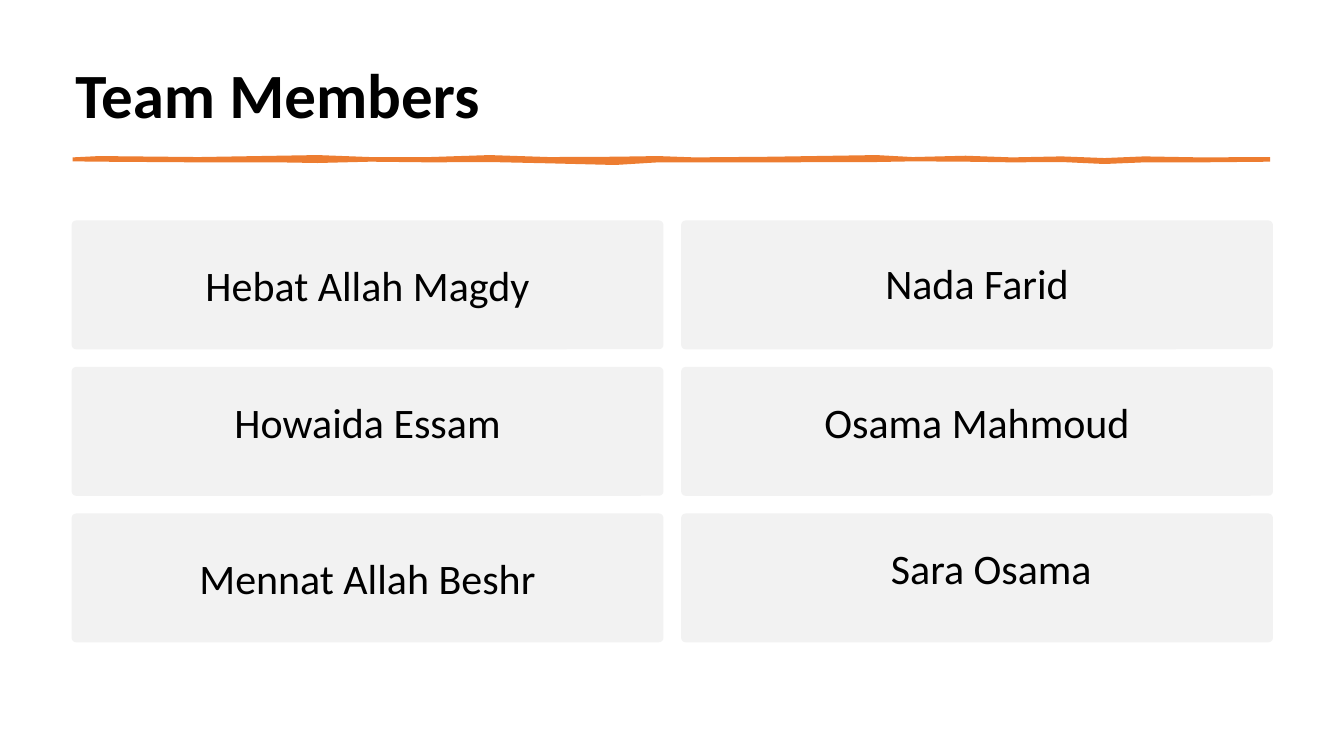
from pptx import Presentation
from pptx.dml.color import RGBColor as RGB
from pptx.enum.shapes import MSO_SHAPE as Kind
from pptx.enum.text import MSO_ANCHOR as Anchor, PP_ALIGN as Align
from pptx.util import Cm, Pt

TITLE = "Team Members"

# name, shift right and drop from the card's top, in cm
TEAM = [
    [("Hebat Allah Magdy", 0, 1.65), ("Nada Farid", 0, 1.6)],
    [("Howaida Essam", 0, 1.37), ("Osama Mahmoud", 0, 1.37)],
    [("Mennat Allah Beshr", 0, 1.65), ("Sara Osama", 0.43, 1.35)],
]

# brush stroke: x, then height above and depth below its middle, in cm
STROKE = [
    (2.2, 0.06, 0.06), (3, 0.1, 0.07), (6, 0.07, 0.09), (8.4, 0.11, 0.09),
    (9.6, 0.13, 0.11), (11.2, 0.07, 0.07), (13, 0.07, 0.09),
    (14.8, 0.13, 0.08), (16.6, 0.07, 0.12), (18.6, 0.08, 0.17),
    (19.9, 0.1, 0.09), (21, 0.06, 0.09), (23.3, 0.08, 0.09),
    (26.5, 0.13, 0.08), (27.6, 0.07, 0.06), (29.2, 0.11, 0.07),
    (30.6, 0.06, 0.09), (32.1, 0.09, 0.08), (33.4, 0.04, 0.14),
    (34.6, 0.09, 0.09), (36.3, 0.06, 0.09), (38.41, 0.07, 0.07),
]
MID = 4.82

THEME = {
    "font": "Calibri",
    "ink": RGB(0, 0, 0),
    "brush": RGB(0xED, 0x7D, 0x31),
    "card": RGB(0xF2, 0xF2, 0xF2),
    "title": Pt(54),
    "name": Pt(36),
    "lead": Pt(28.5),
    "edge": Pt(2.4),
}

LEFT, TOP = 2.21, 6.71
WIDE, HIGH, GAP = 17.81, 3.81, 0.62
NAME_W, NAME_H = 16.38, 1.68


def add_text(slide, text, box, size, bold=False):
    frame = slide.shapes.add_textbox(*map(Cm, box)).text_frame
    frame.word_wrap = True
    frame.text = text
    font = frame.paragraphs[0].runs[0].font
    font.name, font.size, font.bold = THEME["font"], size, bold
    font.color.rgb = THEME["ink"]
    return frame


def add_title(slide):
    frame = add_text(slide, TITLE, (2.03, 0.91, 36.58, 3.81), THEME["title"], True)
    frame.vertical_anchor = Anchor.MIDDLE


def add_stroke(slide):
    upper = [(Cm(x), Cm(MID - up)) for x, up, low in STROKE]
    lower = [(Cm(x), Cm(MID + low)) for x, up, low in reversed(STROKE)]
    pen = slide.shapes.build_freeform(*upper[0])
    pen.add_line_segments(upper[1:] + lower, close=True)
    brush = pen.convert_to_shape()
    brush.shadow.inherit = False
    brush.fill.solid()
    brush.fill.fore_color.rgb = THEME["brush"]
    brush.line.fill.background()


def add_card(slide, x, y):
    card = slide.shapes.add_shape(Kind.ROUNDED_RECTANGLE, *map(Cm, (x, y, WIDE, HIGH)))
    card.adjustments[0] = 0.025
    card.shadow.inherit = False
    card.fill.solid()
    card.fill.fore_color.rgb = THEME["card"]
    card.line.color.rgb = THEME["card"]
    card.line.width = THEME["edge"]


def add_name(slide, name, x, y):
    frame = add_text(slide, name, (x, y, NAME_W, NAME_H), THEME["name"])
    frame.margin_left = frame.margin_right = 0
    frame.margin_top = frame.margin_bottom = 0
    line = frame.paragraphs[0]
    line.alignment = Align.CENTER
    line.line_spacing = THEME["lead"]


def main():
    deck = Presentation()
    deck.slide_width, deck.slide_height = Cm(40.64), Cm(22.86)
    slide = deck.slides.add_slide(deck.slide_layouts[6])
    add_stroke(slide)
    add_title(slide)
    inset = (WIDE - NAME_W) / 2
    for row, pair in enumerate(TEAM):
        for col, (name, shift, drop) in enumerate(pair):
            x = LEFT + col * (WIDE + GAP)
            y = TOP + row * (HIGH + GAP)
            add_card(slide, x, y)
            add_name(slide, name, x + inset + shift, y + drop)
    deck.save("out.pptx")


if __name__ == "__main__":
    main()
